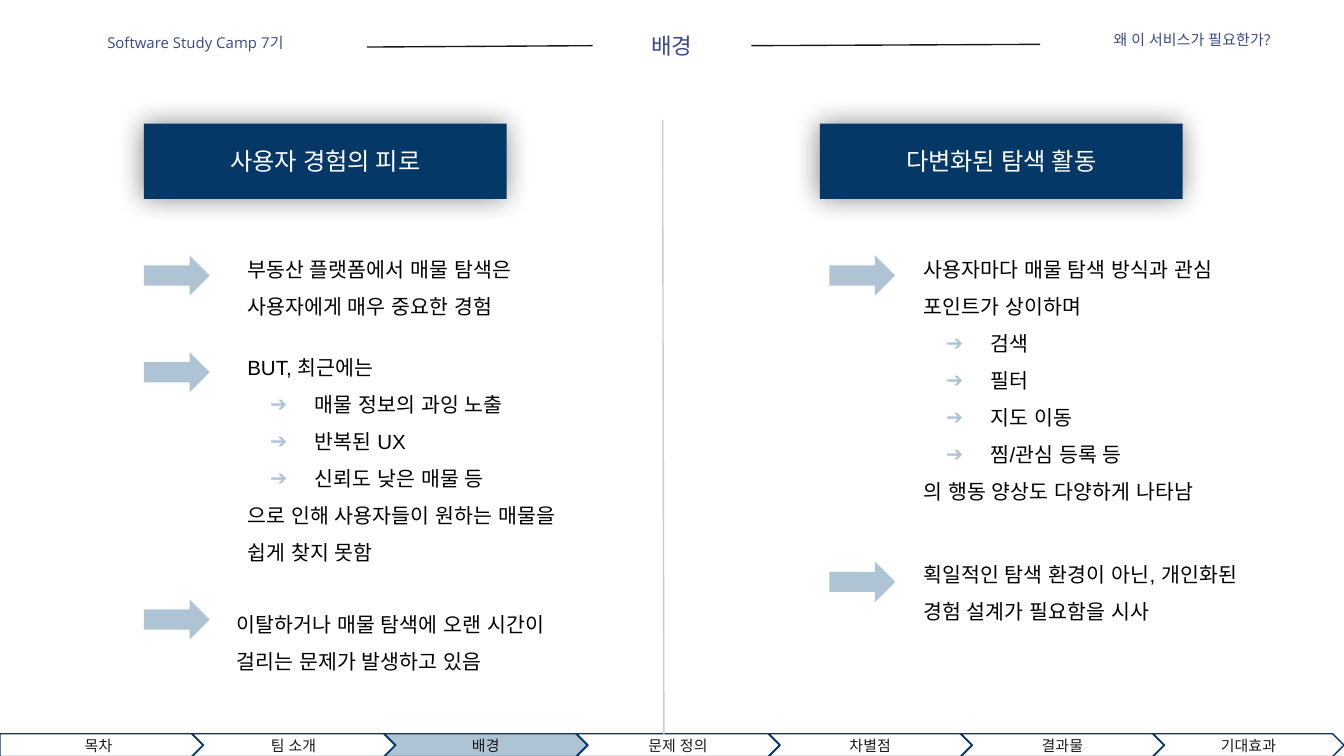
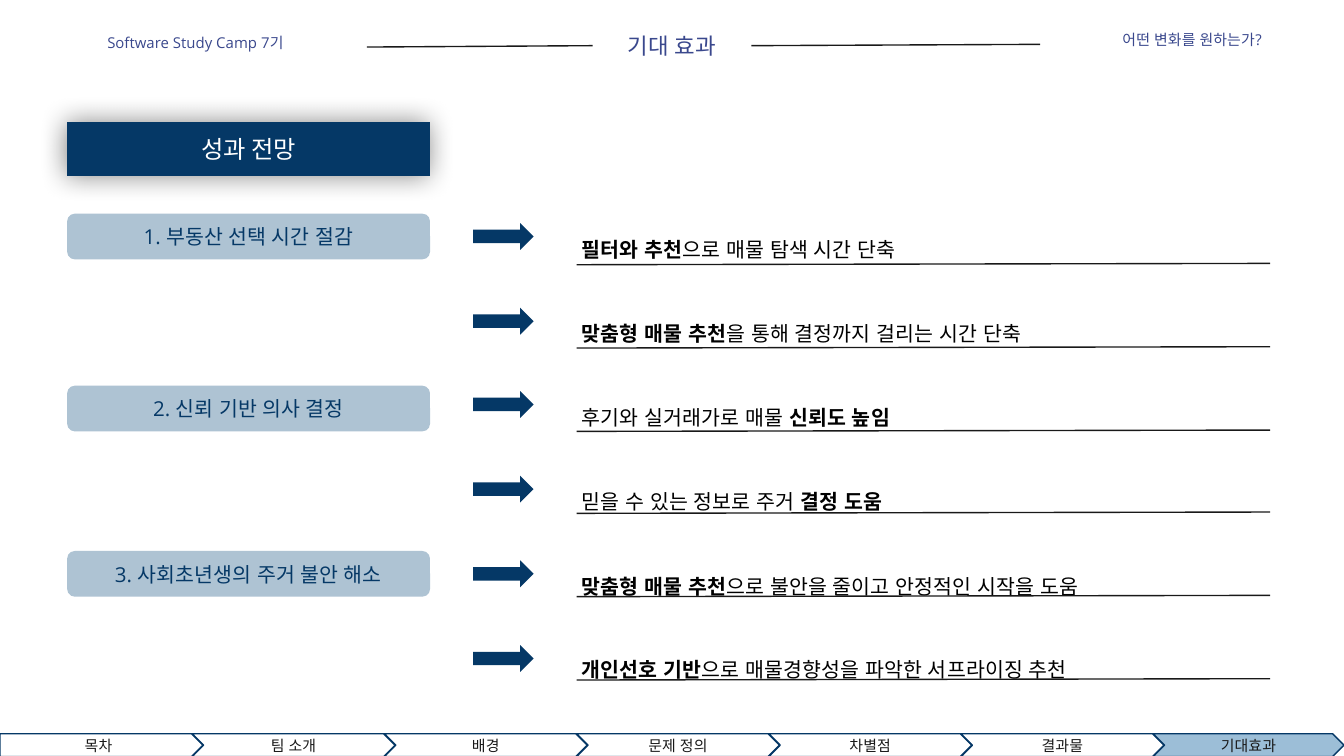
"""Build two slides on the background and the expected effects of a housing service."""
from dataclasses import dataclass

from lxml.etree import SubElement
from pptx import Presentation
from pptx.dml.color import RGBColor
from pptx.enum.shapes import MSO_CONNECTOR as Connector, MSO_SHAPE as Shape
from pptx.enum.text import MSO_ANCHOR as Anchor, MSO_AUTO_SIZE as Fit, PP_ALIGN as Align
from pptx.oxml.ns import qn
from pptx.util import Emu, Pt

PX = 9144
BULLET = "➔"
TOP, LEFT, BOTTOM, RIGHT = range(4)
TWO_CONTENT, TITLE_ONLY = 3, 5


@dataclass(frozen=True)
class Theme:
    """Colours, fonts and type sizes."""
    navy: str = "053866"
    mist: str = "AEC3D3"
    sky: str = "9CBED7"
    indigo: str = "3A488D"
    ink: str = "191919"
    grey: str = "CCCCCC"
    black: str = "000000"
    white: str = "FFFFFF"
    heading: str = "Open Sans"
    body: str = "Arial"
    banner: str = "Roboto"
    small: int = 8
    normal: int = 11
    title: int = 12
    large: int = 13


THEME = Theme()


def style(size, color, font=THEME.heading, align=Align.CENTER, spacing=1.0, anchor=Anchor.MIDDLE):
    """Return the format values of a text, grouped by the object they belong to."""
    return {
        "frame": {"vertical_anchor": anchor, "word_wrap": True,
                  **{f"margin_{side}": px(10) for side in ("left", "top", "right", "bottom")}},
        "para": {"alignment": align, "line_spacing": spacing,
                 "space_before": Pt(0), "space_after": Pt(0)},
        "font": {"size": Pt(size), "name": font},
        "color": color,
    }


def px(length):
    """Turn a length in px into EMU."""
    return Emu(round(length) * PX)


def rgb(color):
    """Turn a hex string into a colour."""
    return RGBColor.from_string(color)


def set_all(target, values):
    """Set every attribute in a dict of format values."""
    for name, value in values.items():
        setattr(target, name, value)


def place(box, left, top, width, height):
    """Move and size a box."""
    set_all(box, {"left": px(left), "top": px(top), "width": px(width), "height": px(height)})


def set_bullet(para, bulleted):
    """Give a paragraph an arrow bullet, or none."""
    props = para._p.get_or_add_pPr()
    props.set("marL", str(px(50) if bulleted else 0))
    props.set("indent", str(px(-33) if bulleted else 0))
    if bulleted:
        color = SubElement(props, qn("a:buClr"))
        SubElement(color, qn("a:srgbClr"), val=THEME.mist)
        SubElement(props, qn("a:buChar"), char=BULLET)
    else:
        SubElement(props, qn("a:buNone"))


def write_text(box, lines, look):
    """Write lines into a box; asterisks enclose bold words, a leading arrow marks a bullet."""
    frame = box.text_frame
    set_all(frame, look["frame"])
    for index, line in enumerate(lines):
        para = frame.add_paragraph() if index else frame.paragraphs[0]
        set_all(para, look["para"])
        set_bullet(para, line.startswith(BULLET))
        for part, words in enumerate(line.removeprefix(BULLET).split("*")):
            if words:
                span = para.add_run()
                span.text = words
                set_all(span.font, {**look["font"], "bold": part % 2 == 1})
                span.font.color.rgb = rgb(look["color"])
                for script in ("a:ea", "a:cs"):
                    SubElement(span.font._element, qn(script), typeface=look["font"]["name"])


def fill_box(box, area, lines, look):
    """Place a text box or placeholder and write its text."""
    place(box, *area)
    write_text(box, lines, look)
    box.text_frame.auto_size = Fit.SHAPE_TO_FIT_TEXT
    return box


def add_text(page, area, lines, look):
    """Add a text box."""
    return fill_box(page.shapes.add_textbox(0, 0, 0, 0), area, lines, look)


def add_block(page, kind, area, fill=None, line=None):
    """Add a preset shape without shadow, with optional fill and outline."""
    box = page.shapes.add_shape(kind, *map(px, area))
    box.shadow.inherit = False
    if fill:
        box.fill.solid()
        box.fill.fore_color.rgb = rgb(fill)
    else:
        box.fill.background()
    if line:
        box.line.color.rgb = rgb(line)
        box.line.width = Pt(0.75)
    else:
        box.line.fill.background()
    return box


def add_banner(page, area, text, font=THEME.heading):
    """Add a navy section banner with a soft shadow."""
    box = add_block(page, Shape.RECTANGLE, area, THEME.navy)
    write_text(box, [text], style(THEME.large, THEME.white, font))
    effects = box._element.spPr.find(qn("a:effectLst"))
    shadow = SubElement(effects, qn("a:outerShdw"), blurRad=str(Pt(14.6)), dist=str(Pt(0.8)),
                        dir=str(186 * 60000), algn="bl", rotWithShape="0")
    color = SubElement(shadow, qn("a:srgbClr"), val=THEME.black)
    SubElement(color, qn("a:alpha"), val="47000")


def add_line(page, start, end, color):
    """Add a thin straight line."""
    line = page.shapes.add_connector(Connector.STRAIGHT, *map(px, (*start, *end)))
    line.line.color.rgb = rgb(color)
    line.line.width = Pt(0.75)
    SubElement(line._element.spPr, qn("a:effectLst"))
    return line


def join(page, first, second):
    """Join the right side of one box to the left side of the next."""
    line = add_line(page, (0, 0), (0, 0), THEME.ink)
    line.begin_connect(first, RIGHT)
    line.end_connect(second, LEFT)


def add_header(page, title, question):
    """Add the camp name, title and question, joined by lines."""
    look = style(THEME.small, THEME.indigo, anchor=Anchor.TOP)
    camp = add_text(page, (18, 18, 255, 34), ["Software Study Camp 7기"], look)
    heading = fill_box(page.shapes.title, (441, 14, 118, 40), [title],
                       style(THEME.title, THEME.indigo, anchor=Anchor.TOP))
    asked = add_text(page, (774, 16, 226, 34), [question], look)
    join(page, camp, heading)
    join(page, heading, asked)


def add_navigation(page, current, highlight):
    """Add the chevron footer with the current chapter filled."""
    chapters = ("목차", "팀 소개", "배경", "문제 정의", "차별점", "결과물", "기대효과")
    for index, chapter in enumerate(chapters):
        left = 143 * index
        kind = Shape.CHEVRON if index else Shape.PENTAGON
        box = add_block(page, kind, (left, 546, min(151, 1000 - left), 17),
                        highlight if chapter == current else None, THEME.navy)
        write_text(box, [chapter], style(THEME.small, THEME.ink))


def body_style():
    """Return the format of body text."""
    return style(THEME.normal, THEME.black, THEME.body, Align.LEFT, 1.5, Anchor.TOP)


def build_background(deck):
    """Build the slide on why the service is needed."""
    page = deck.slides.add_slide(deck.slide_layouts[TWO_CONTENT])
    add_header(page, "배경", "왜 이 서비스가 필요한가?")
    add_navigation(page, "배경", THEME.mist)
    add_line(page, (493, 89), (494, 546), THEME.grey)
    for left, text in ((107, "사용자 경험의 피로"), (610, "다변화된 탐색 활동")):
        add_banner(page, (left, 92, 270, 56), text)
    for left, top in ((107, 190), (107, 262), (107, 446), (617, 190), (617, 418)):
        add_block(page, Shape.RIGHT_ARROW, (left, top, 49, 30), THEME.mist)

    lists = (
        ((174, 245, 264, 178), ["BUT, 최근에는", "➔매물 정보의 과잉 노출", "➔반복된 UX",
                                "➔신뢰도 낮은 매물 등",
                                "으로 인해 사용자들이 원하는 매물을 쉽게 찾지 못함"]),
        ((677, 172, 264, 205), ["사용자마다 매물 탐색 방식과 관심 포인트가 상이하며",
                                "➔검색", "➔필터", "➔지도 이동", "➔찜/관심 등록 등",
                                "의 행동 양상도 다양하게 나타남"]),
    )
    for number, (area, lines) in enumerate(lists, 1):
        fill_box(page.placeholders[number], area, lines, body_style())

    notes = (
        ((174, 172, 264, 67), "부동산 플랫폼에서 매물 탐색은 사용자에게 매우 중요한 경험"),
        ((166, 436, 275, 67), "이탈하거나 매물 탐색에 오랜 시간이 걸리는 문제가 발생하고 있음"),
        ((677, 399, 264, 67), "획일적인 탐색 환경이 아닌, 개인화된 경험 설계가 필요함을 시사"),
    )
    for area, text in notes:
        add_text(page, area, [text], body_style())


def build_effects(deck):
    """Build the slide on the expected effects."""
    page = deck.slides.add_slide(deck.slide_layouts[TITLE_ONLY])
    add_header(page, "기대 효과", "어떤 변화를 원하는가?")
    add_navigation(page, "기대효과", THEME.sky)
    add_banner(page, (50, 91, 270, 40), "성과 전망", THEME.banner)

    goals = ((159, "1. 부동산 선택 시간 절감"), (287, "2. 신뢰 기반 의사 결정"),
             (410, "3. 사회초년생의 주거 불안 해소"))
    for top, text in goals:
        pill = add_block(page, Shape.ROUNDED_RECTANGLE, (50, top, 270, 34), THEME.mist)
        write_text(pill, [text], style(THEME.normal, THEME.navy))

    effects = (
        "*필터와 추천*으로 매물 탐색 시간 단축",
        "*맞춤형 매물 추천*을 통해 결정까지 걸리는 시간 단축",
        "후기와 실거래가로 매물 *신뢰도 높임*",
        "믿을 수 있는 정보로 주거 *결정 도움*",
        "*맞춤형 매물 추천*으로 불안을 줄이고 안정적인 시작을 도움",
        "*개인선호 기반*으로 매물경향성을 파악한 서프라이징 추천",
    )
    for row, text in enumerate(effects):
        offset = 62.7 * row
        add_block(page, Shape.RIGHT_ARROW, (352, 166 + offset, 45, 20), THEME.navy)
        add_text(page, (423, 157 + offset, 527, 39), [text], body_style())
        rule = 197 + 61.8 * row
        add_line(page, (429, rule), (945, rule - 1), THEME.ink)


def main():
    """Build and save the deck."""
    deck = Presentation()
    deck.slide_width = px(1000)
    deck.slide_height = Emu(deck.slide_width * 9 // 16)
    build_background(deck)
    build_effects(deck)
    deck.save("out.pptx")


if __name__ == "__main__":
    main()
